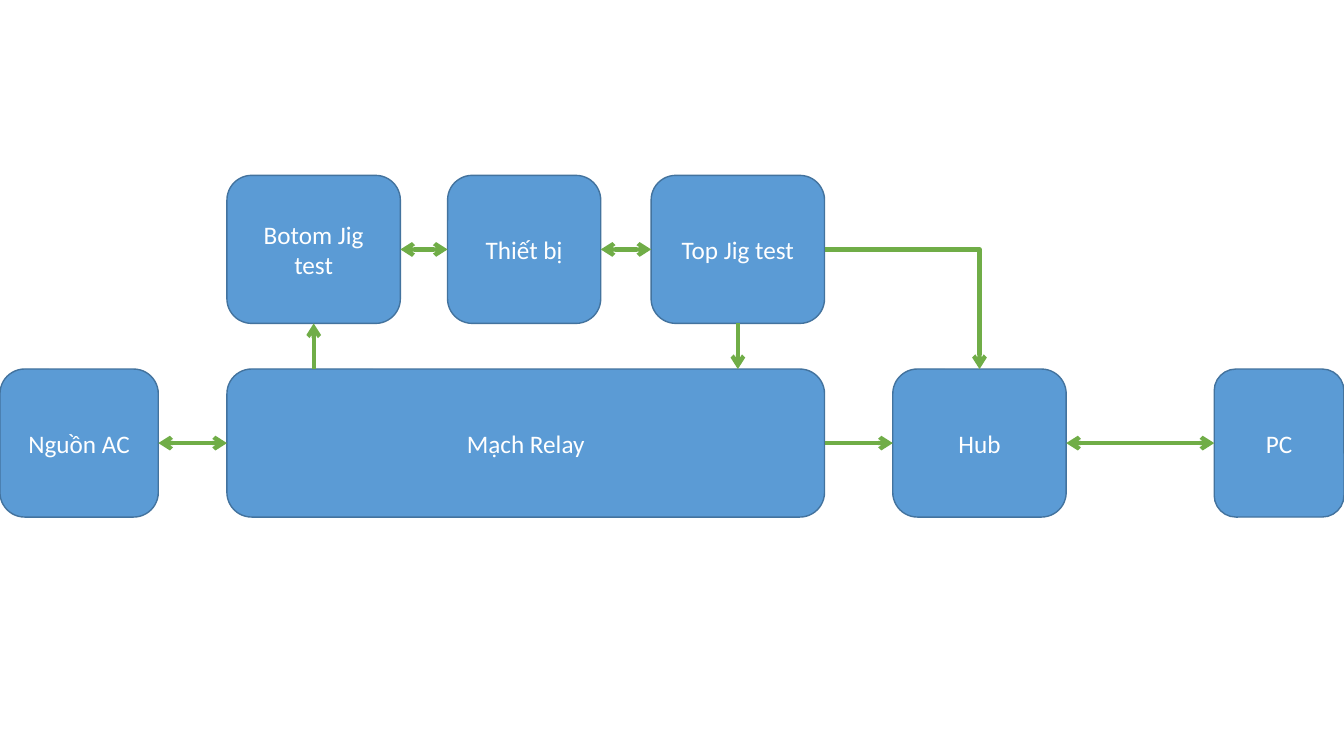
from lxml.etree import SubElement
from pptx import Presentation
from pptx.dml.color import RGBColor
from pptx.enum.shapes import MSO_CONNECTOR, MSO_SHAPE
from pptx.enum.text import MSO_ANCHOR, PP_ALIGN
from pptx.oxml.ns import qn
from pptx.util import Cm, Pt

BLUE = RGBColor(0x5B, 0x9B, 0xD5)
DARK_BLUE = RGBColor(0x43, 0x73, 0x9E)
GREEN = RGBColor(0x70, 0xAD, 0x47)
WHITE = RGBColor(0xFF, 0xFF, 0xFF)

TOP, LEFT, BOTTOM, RIGHT = range(4)  # connection sites of a rounded rectangle


def add_block(slide, label, left, top, width, height):
    """Add one labelled rounded block."""
    block = slide.shapes.add_shape(
        MSO_SHAPE.ROUNDED_RECTANGLE, left, top, width, height)
    block.shadow.inherit = False
    block.fill.solid()
    block.fill.fore_color.rgb = BLUE
    block.line.color.rgb = DARK_BLUE
    block.line.width = Pt(1)
    frame = block.text_frame
    frame.word_wrap = True
    frame.vertical_anchor = MSO_ANCHOR.MIDDLE
    paragraph = frame.paragraphs[0]
    paragraph.alignment = PP_ALIGN.CENTER
    run = paragraph.add_run()
    run.text = label
    run.font.name = "Calibri"
    run.font.size = Pt(18)
    run.font.color.rgb = WHITE
    return block


def add_row(slide, left, top, height, blocks):
    """Add a row of blocks, each given as label, offset and width in cm."""
    return [add_block(slide, label, left + Cm(offset), top, Cm(width), height)
            for label, offset, width in blocks]


def style_arrow(arrow, ends):
    """Colour a connector and put arrowheads on the given ends."""
    arrow.line.color.rgb = GREEN
    arrow.line.width = Pt(3)
    line = arrow.line._get_or_add_ln()
    for end in ends:
        SubElement(line, qn(f"a:{end}End"), type="arrow")
    SubElement(arrow._element.spPr, qn("a:effectLst"))


def link_sideways(slide, source, target, ends=("head", "tail")):
    """Join the right side of one block to the left side of the next."""
    arrow = slide.shapes.add_connector(MSO_CONNECTOR.STRAIGHT, 0, 0, 0, 0)
    arrow.begin_connect(source, RIGHT)
    arrow.end_connect(target, LEFT)
    style_arrow(arrow, ends)


def link_down(slide, upper, lower, ends):
    """Drop a line from the bottom of a block to the top edge of a wider one."""
    center = upper.left + upper.width // 2
    arrow = slide.shapes.add_connector(
        MSO_CONNECTOR.STRAIGHT, center, upper.top + upper.height,
        center, lower.top)
    arrow.begin_connect(upper, BOTTOM)
    style_arrow(arrow, ends)


def link_corner(slide, source, target):
    """Run an arrow right from a block, then down into another."""
    arrow = slide.shapes.add_connector(MSO_CONNECTOR.ELBOW, 0, 0, 0, 0)
    arrow.begin_connect(source, RIGHT)
    arrow.end_connect(target, TOP)
    arrow._element.spPr.find(qn("a:prstGeom")).set("prst", "bentConnector2")
    style_arrow(arrow, ["tail"])


def build_diagram(slide, left, top, row_height, row_pitch):
    """Build both rows of the test system and their links."""
    bottom_jig, device, top_jig = add_row(slide, left, top, row_height, [
        ("Botom Jig test", 5.72, 4.37),
        ("Thiết bị", 11.28, 3.86),
        ("Top Jig test", 16.41, 4.37)])
    power, relay, hub, computer = add_row(
        slide, left, top + row_pitch, row_height, [
            ("Nguồn AC", 0, 3.99),
            ("Mạch Relay", 5.72, 15.06),
            ("Hub", 22.5, 4.37),
            ("PC", 30.6, 3.27)])

    for source, target in [(bottom_jig, device), (device, top_jig),
                           (power, relay), (hub, computer)]:
        link_sideways(slide, source, target)
    link_sideways(slide, relay, hub, ["tail"])
    link_down(slide, bottom_jig, relay, ["head"])
    link_down(slide, top_jig, relay, ["tail"])
    link_corner(slide, top_jig, hub)


presentation = Presentation()
presentation.slide_width = Cm(33.87)
presentation.slide_height = Cm(19.05)
system_slide = presentation.slides.add_slide(presentation.slide_layouts[6])
build_diagram(system_slide, Cm(0), Cm(4.42), Cm(3.73), Cm(4.88))
presentation.save("out.pptx")
